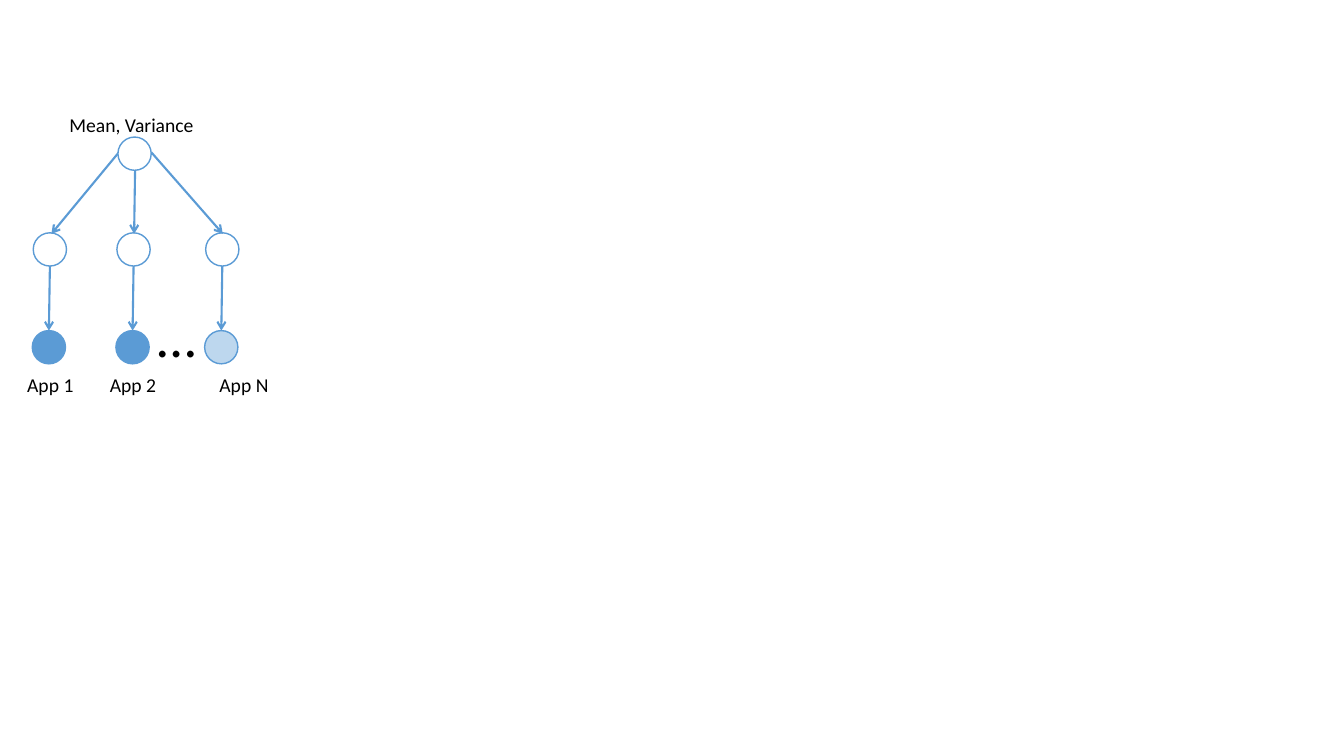
from lxml.etree import SubElement
from pptx import Presentation
from pptx.dml.color import RGBColor
from pptx.enum.shapes import MSO_CONNECTOR, MSO_SHAPE
from pptx.enum.text import MSO_AUTO_SIZE, PP_ALIGN
from pptx.oxml.ns import qn
from pptx.util import Inches, Pt

BLUE = RGBColor(0x5B, 0x9B, 0xD5)
PALE_BLUE = RGBColor(0xBD, 0xD7, 0xEE)
WHITE = RGBColor(0xFF, 0xFF, 0xFF)
BLACK = RGBColor(0x00, 0x00, 0x00)
NODE = 0.33


class Diagram:
    """Draws tree elements in one style on the current slide."""

    def __init__(self, s, font="Calibri"):
        self.s = s
        self.font = font

    def node(self, left, top, fill):
        sp = self.s.shapes.add_shape(MSO_SHAPE.OVAL, Inches(left), Inches(top),
                                     Inches(NODE), Inches(NODE))
        sp.shadow.inherit = False
        sp.fill.solid()
        sp.fill.fore_color.rgb = fill
        sp.line.color.rgb = BLUE
        sp.line.width = Pt(1)

    def arrow(self, x1, y1, x2, y2):
        c = self.s.shapes.add_connector(MSO_CONNECTOR.STRAIGHT, Inches(x1), Inches(y1),
                                        Inches(x2), Inches(y2))
        c.line.color.rgb = BLUE
        c.line.width = Pt(1.5)
        SubElement(c.line._get_or_add_ln(), qn("a:tailEnd"), type="arrow")
        SubElement(c._element.spPr, qn("a:effectLst"))

    def label(self, text, left, top, width, height, size=14, align=PP_ALIGN.CENTER):
        sp = self.s.shapes.add_textbox(Inches(left), Inches(top), Inches(width), Inches(height))
        tf = sp.text_frame
        tf.word_wrap = True
        tf.auto_size = MSO_AUTO_SIZE.SHAPE_TO_FIT_TEXT
        p = tf.paragraphs[0]
        p.alignment = align
        r = p.add_run()
        r.text = text
        r.font.name = self.font
        r.font.size = Pt(size)
        r.font.color.rgb = BLACK


def main():
    prs = Presentation()
    prs.slide_width, prs.slide_height = Inches(13.33), Inches(7.5)
    d = Diagram(prs.slides.add_slide(prs.slide_layouts[6]))

    apps = [("App 1", 0.33, 0, BLUE), ("App 2", 1.16, 0.82, BLUE), ("App N", 2.04, 1.92, PALE_BLUE)]
    for name, left, label_left, fill in apps:
        center = left + NODE / 2
        d.node(left, 2.31, WHITE)
        d.arrow(center, 2.64, center - 0.01, 3.28)
        d.label(name, label_left, 3.65, 1, 0.34)
        d.node(left - 0.01, 3.28, fill)
    d.label("…", 1.46, 2.94, 0.6, 0.77, size=40, align=PP_ALIGN.LEFT)

    for start_x, start_y, end_x in [(1.34, 1.69, 1.33), (1.18, 1.51, 0.51), (1.5, 1.51, 2.21)]:
        d.arrow(start_x, start_y, end_x, 2.32)
    d.label("Mean, Variance", 0.2, 1.07, 2.21, 0.34)
    d.node(1.17, 1.36, WHITE)

    prs.save("out.pptx")


if __name__ == "__main__":
    main()
